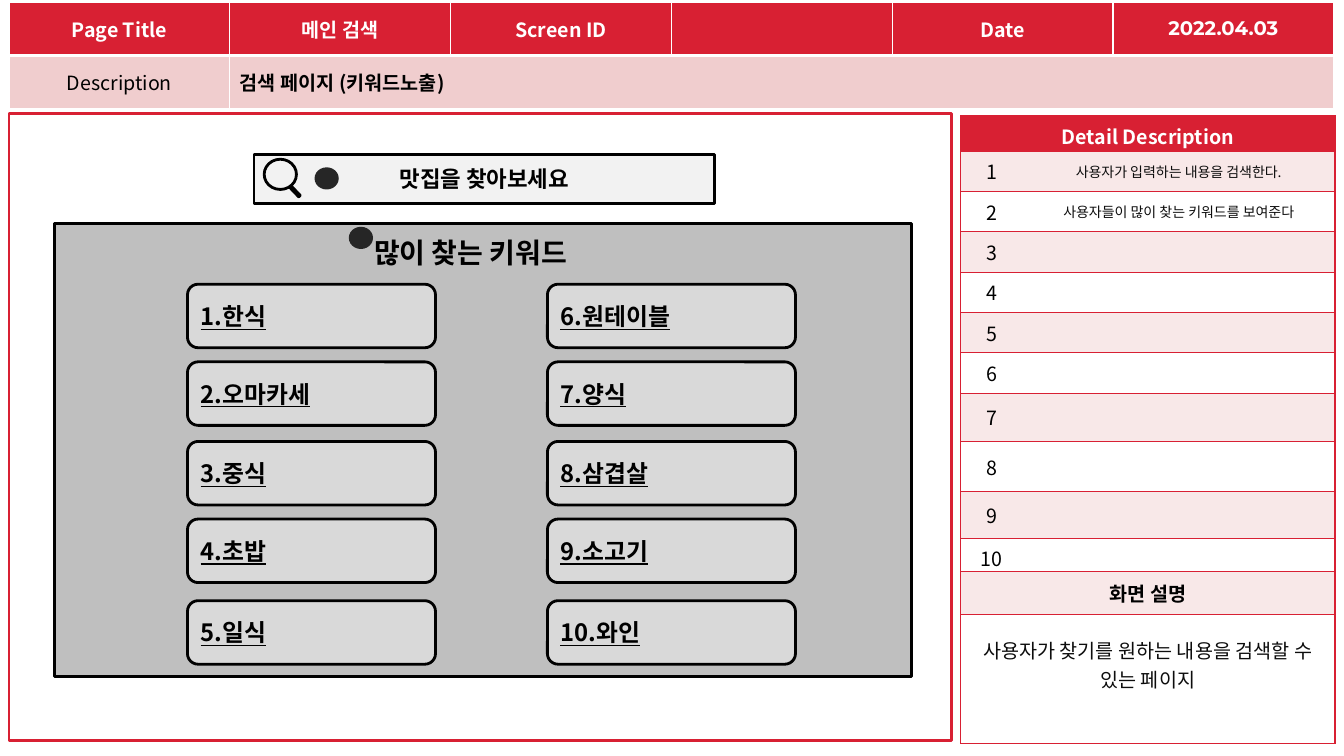
from lxml.etree import SubElement
from pptx import Presentation
from pptx.dml.color import RGBColor
from pptx.enum.shapes import MSO_SHAPE
from pptx.enum.text import MSO_ANCHOR, MSO_AUTO_SIZE, PP_ALIGN
from pptx.oxml import parse_xml
from pptx.oxml.ns import nsdecls, qn
from pptx.util import Emu, Pt

RED, PINK, PALE = "D82033", "F0CDCE", "F8E8E8"
WHITE, BLACK, DARK = "FFFFFF", "000000", "0D0D0D"
NOTO, ARIAL = "Noto Sans CJK KR", "Arial"
LEFT, MID = PP_ALIGN.LEFT, PP_ALIGN.CENTER


def px(num):
    return Emu(num * 9144)


def tint(code):
    return RGBColor.from_string(code)


class Board:
    def __init__(self, deck):
        self.slide = deck.slides.add_slide(deck.slide_layouts[5])
        self.shapes = self.slide.shapes

    def group(self):
        return self.slide.shapes.add_group_shape().shapes

    def label(self, frame, text, size, color=BLACK, bold=False,
              font=NOTO, align=LEFT, under=None):
        para = frame.paragraphs[0]
        para.alignment = align
        run = para.add_run()
        run.text = text
        run.font.size = Pt(size)
        run.font.bold = bold
        run.font.underline = under
        run.font.name = font
        run.font.color.rgb = tint(color)
        SubElement(run._r.get_or_add_rPr(), qn("a:ea"), typeface=NOTO)

    def shape(self, kind, area, fill, line=None, home=None):
        item = (home or self.shapes).add_shape(kind, *map(px, area))
        item.shadow.inherit = False
        item.fill.solid()
        item.fill.fore_color.rgb = tint(fill)
        if line:
            item.line.color.rgb = tint(line)
            item.line.width = Pt(2)
        else:
            item.line.fill.background()
        item.text_frame.vertical_anchor = MSO_ANCHOR.MIDDLE
        return item

    def title(self, area, text, size):
        item = self.shapes.title
        item.left, item.top, item.width, item.height = map(px, area)
        frame = item.text_frame
        frame.auto_size = MSO_AUTO_SIZE.NONE
        frame.vertical_anchor = MSO_ANCHOR.MIDDLE
        self.label(frame, text, size, bold=True)
        self.shapes._spTree.append(item._element)

    def badge(self, left, top, width, text):
        home = self.group()
        self.shape(MSO_SHAPE.OVAL, (left, top, 24, 22), "262626", home=home)
        note = home.add_textbox(*map(px, (left - 3, top - 3, width, 29)))
        note.text_frame.word_wrap = True
        self.label(note.text_frame, text, 11, "F2F2F2", font=ARIAL)

    def table(self, area, cols, rows):
        grid = self.shapes.add_table(len(rows), len(cols), *map(px, area)).table
        grid.first_row = grid.horz_banding = False
        for col, width in zip(grid.columns, cols):
            col.width = px(width)
        for row, height in zip(grid.rows, rows):
            row.height = px(height)
        return grid

    def cell(self, cell, fill, edge, sides, text="", size=14, **style):
        cell.fill.solid()
        cell.fill.fore_color.rgb = tint(fill)
        cell.vertical_anchor = MSO_ANCHOR.MIDDLE
        cell.margin_top = cell.margin_bottom = 0
        props = cell._tc.get_or_add_tcPr()
        for spot, (side, width) in enumerate(zip("LRTB", sides)):
            paint = (f'<a:solidFill><a:srgbClr val="{edge}"/></a:solidFill>'
                     if width else "<a:noFill/>")
            props.insert(spot, parse_xml(
                f'<a:ln{side} {nsdecls("a")} w="{width * 12700}">{paint}</a:ln{side}>'))
        if text:
            self.label(cell.text_frame, text, size, **style)

    def header(self):
        grid = self.table((9, 2, 1314, 106), [219] * 6, [53, 53])
        names = ["Page Title", "메인 검색", "Screen ID", "", "Date", "2022.04.03"]
        grid.cell(1, 1).merge(grid.cell(1, 5))
        for col, name in enumerate(names):
            self.cell(grid.cell(0, col), RED, WHITE, (1, 1, 1, 3), name,
                      color=WHITE, bold=True, align=MID,
                      font="Montserrat" if col == 5 else NOTO)
            self.cell(grid.cell(1, col), PINK, WHITE, (1, 1, 3, 1))
        self.label(grid.cell(1, 0).text_frame, "Description", 14, align=MID)
        self.label(grid.cell(1, 1).text_frame, "검색 페이지 (키워드노출)", 14, bold=True)

    def detail(self):
        rows = [35] + [40] * 6 + [48, 50, 46, 33, 42, 128]
        grid = self.table((953, 115, 371, 622), [61, 310], rows)
        notes = {1: "사용자가 입력하는 내용을 검색한다.",
                 2: "사용자들이 많이 찾는 키워드를 보여준다"}
        for row in range(1, 11):
            fill = PALE if row % 2 else WHITE
            self.cell(grid.cell(row, 0), fill, RED, (1, 0, 1, 1), str(row), align=MID)
            self.cell(grid.cell(row, 1), fill, RED, (0, 1, 1, 1),
                      notes.get(row, ""), 10, color=DARK, align=MID)
        wide = [(0, RED, "Detail Description", WHITE, True),
                (11, PALE, "화면 설명", BLACK, True),
                (12, WHITE, "사용자가 찾기를 원하는 내용을 검색할 수 있는 페이지", DARK, False)]
        for row, fill, text, color, bold in wide:
            grid.cell(row, 0).merge(grid.cell(row, 1))
            self.cell(grid.cell(row, 0), fill, RED, (1, 1, 1, 1), text,
                      color=color, bold=bold, align=MID)
            self.cell(grid.cell(row, 1), fill, RED, (1, 1, 1, 1))
        grid.cell(0, 0).margin_top = grid.cell(10, 0).margin_top = px(5)
        grid.cell(12, 0).margin_bottom = px(28)

    def search(self):
        home = self.group()
        bar = self.shape(MSO_SHAPE.RECTANGLE, (252, 153, 457, 49), "F2F2F2", BLACK, home)
        self.label(bar.text_frame, "맛집을 찾아보세요", 16, bold=True, font=ARIAL, align=MID)
        stick = self.shape(MSO_SHAPE.ROUNDED_RECTANGLE, (285, 167, 2, 32), BLACK, BLACK, home)
        stick.rotation = 316.3
        self.shape(MSO_SHAPE.OVAL, (262, 158, 32, 30), "F2F2F2", BLACK, home)

    def words(self):
        self.shape(MSO_SHAPE.RECTANGLE, (54, 222, 850, 449), "BFBFBF", BLACK)
        self.title((361, 229, 234, 43), "많이 찾는 키워드", 20)
        foods = ["한식", "오마카세", "중식", "초밥", "일식",
                 "원테이블", "양식", "삼겹살", "소고기", "와인"]
        tops = [282, 359, 438, 515, 596]
        for num, food in enumerate(foods):
            col, row = divmod(num, 5)
            key = self.shape(MSO_SHAPE.ROUNDED_RECTANGLE,
                             (186 + 357 * col, tops[row], 246, 63), "D9D9D9", BLACK)
            self.label(key.text_frame, f"{num + 1}.{food}", 17, bold=True, under=True)


def main():
    deck = Presentation()
    deck.slide_width, deck.slide_height = px(1333), px(750)
    board = Board(deck)
    board.shape(MSO_SHAPE.RECTANGLE, (9, 113, 935, 622), WHITE, RED)
    board.header()
    board.detail()
    board.search()
    board.words()
    board.badge(312, 166, 27, "1")
    board.badge(346, 225, 22, "2")
    deck.save("out.pptx")


if __name__ == "__main__":
    main()
